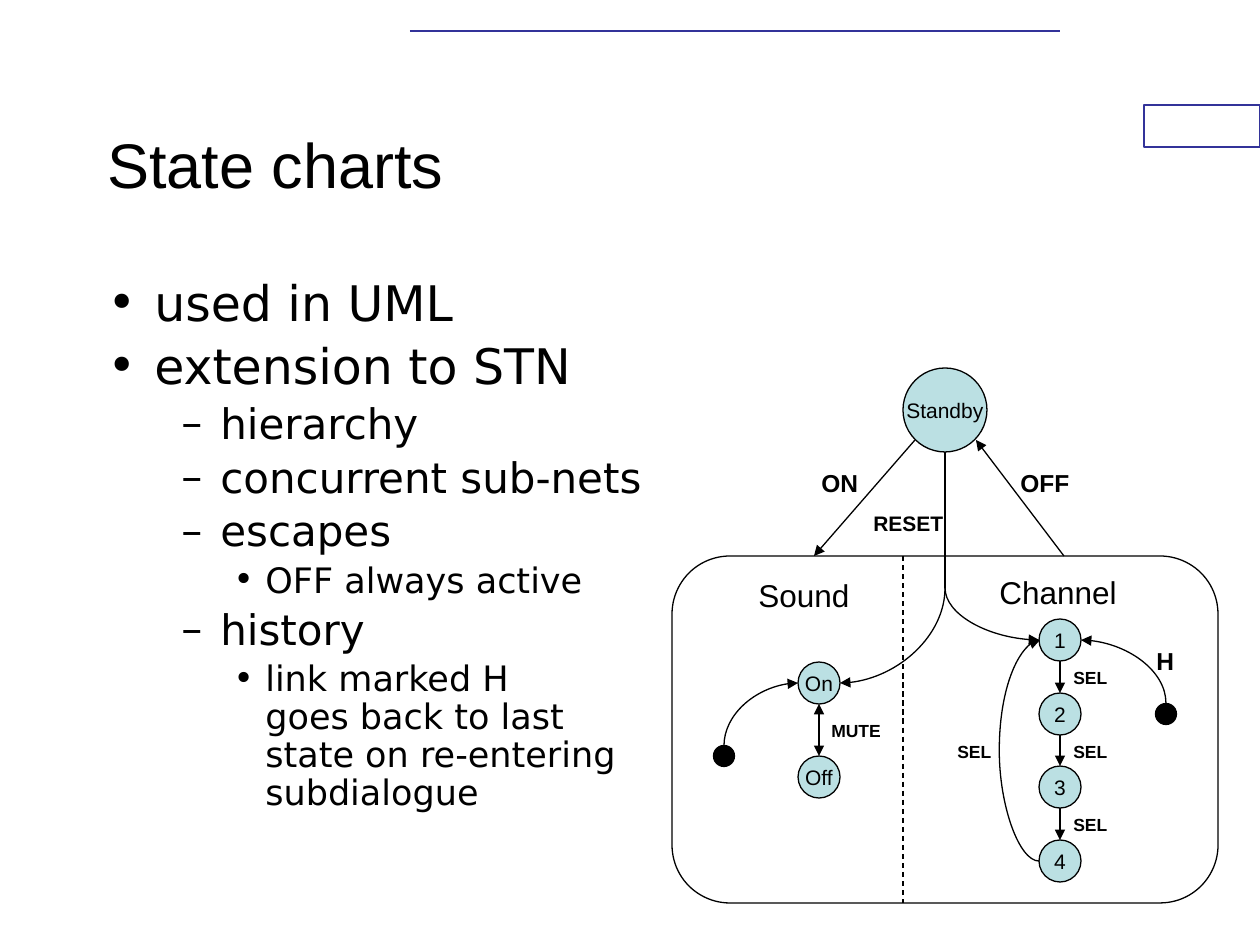
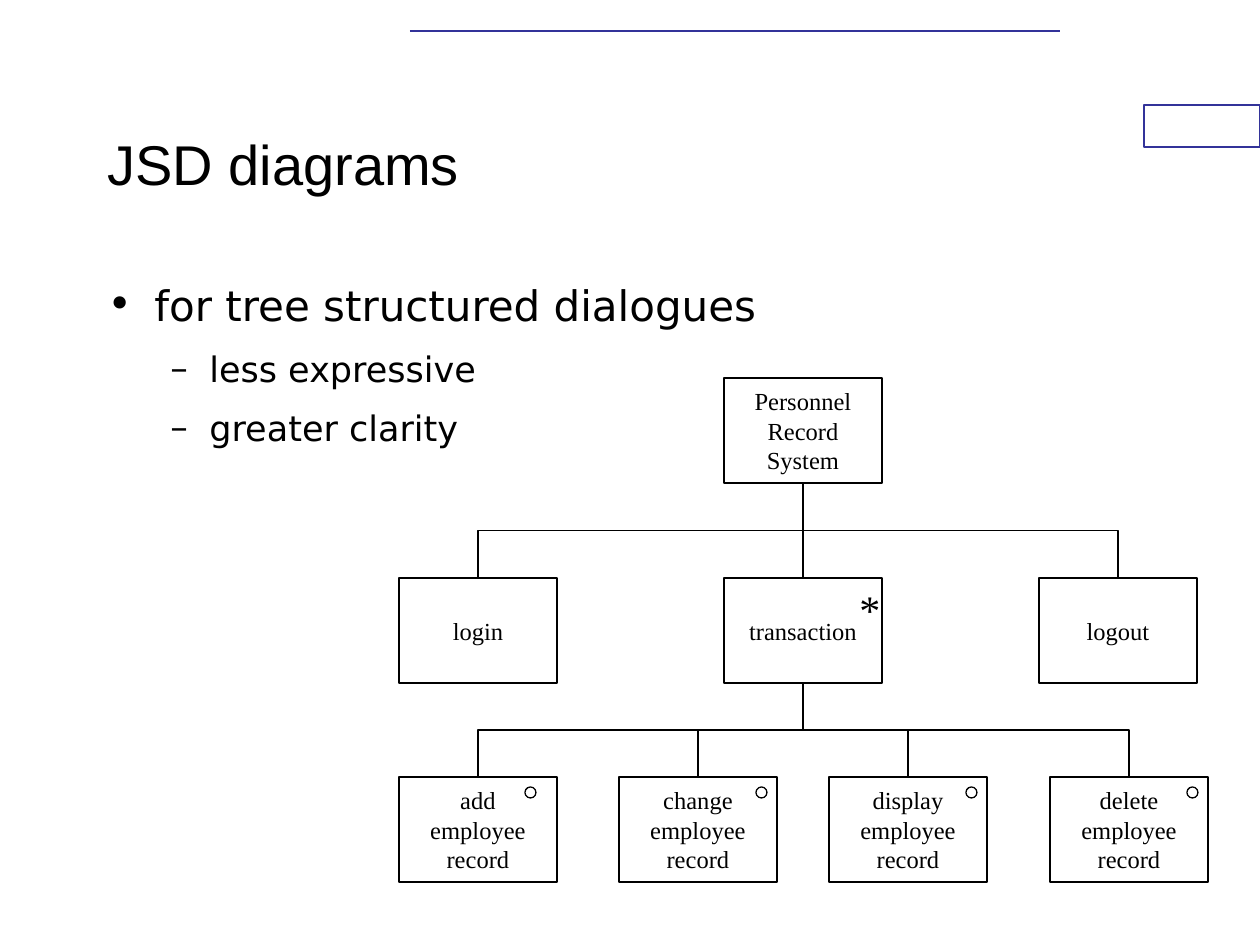
"""Build two slides on dialogue notations: state charts and JSD diagrams."""
from copy import deepcopy
from dataclasses import dataclass

from lxml.etree import SubElement
from pptx import Presentation
from pptx.dml.color import RGBColor
from pptx.enum.dml import MSO_LINE
from pptx.enum.shapes import MSO_CONNECTOR, MSO_SHAPE
from pptx.enum.text import MSO_ANCHOR, MSO_AUTO_SIZE, PP_ALIGN
from pptx.oxml.ns import qn
from pptx.util import Pt

SCALE = 914400 / 126


@dataclass(frozen=True)
class Theme:
    """Colours, fonts and type sizes."""
    ink: str = "000000"
    paper: str = "FFFFFF"
    navy: str = "333399"
    aqua: str = "BBE0E3"
    sans: str = "Arial"
    body: str = "DejaVu Sans"
    serif: str = "Times New Roman"
    thin: float = 0.75
    firm: float = 1
    state: int = 12
    node: int = 14
    star: int = 24


T = Theme()

CHART = {
    "title": ("State charts", 36),
    "sizes": (28, 24, 20),
    "dents": ((47, 47), (113, 39), (158, 32)),
    "space": (0.9, 0.2),
    "items": [
        (0, "used in UML"),
        (0, "extension to STN"),
        (1, "hierarchy"),
        (1, "concurrent sub-nets"),
        (1, "escapes"),
        (2, "OFF always active"),
        (1, "history"),
        (2, "link marked H\vgoes back to last\vstate on re-entering\vsubdialogue"),
    ],
}
TREE = {
    "title": ("JSD diagrams", 32),
    "sizes": (24, 20),
    "dents": ((47, 47), (102, 39)),
    "space": (1.0, 0.5),
    "items": [
        (0, "for tree structured dialogues"),
        (1, "less expressive"),
        (1, "greater clarity"),
    ],
}
BULLETS = "•–•"

FRAME = (672, 556, 546, 347)
STEPS = [640, 714, 787, 861]
STEP_X = 1060
STATES = [
    ("Standby", 945, 410, 84),
    ("On", 819, 683, 42),
    ("Off", 819, 777, 42),
] + [(str(num), STEP_X, y, 42) for num, y in enumerate(STEPS, 1)]
DOTS = [(1166, 714), (724, 756)]
LABELS = [
    ("Sound", 746, 570, 120, 50, 18, False),
    ("Channel", 987, 567, 150, 50, 18, False),
    ("H", 1144, 640, 43, 42, 14, True),
    ("OFF", 1008, 462, 76, 42, 14, True),
    ("ON", 809, 462, 64, 42, 14, True),
    ("RESET", 861, 504, 98, 38, 12, True),
    ("MUTE", 819, 714, 78, 34, 10, True),
    ("SEL", 945, 735, 61, 34, 10, True),
] + [("SEL", 1061, y + 21, 61, 34, 10, True) for y in STEPS[:-1]]
ARROWS = [
    ((915, 440), (814, 556), "tail"),
    ((1064, 556), (976, 440), "tail"),
    ((819, 704), (819, 756), "head tail"),
    ((945, 452), (945, 588), ""),
] + [((STEP_X, a + 21), (STEP_X, b - 21), "tail") for a, b in zip(STEPS, STEPS[1:])]
CURVES = [
    ((1166, 703), (1081, 640)),
    ((724, 746), (798, 683)),
    ((945, 588), (1039, 640)),
    ((945, 588), (840, 683)),
]

BOX = (158, 105)
ROWS = [
    (378, [("Personnel\vRecord\vSystem", 803)]),
    (578, [("login", 478), ("transaction", 803), ("logout", 1118)]),
    (777, [(verb + "\vemployee\vrecord", x) for verb, x in
           [("add", 478), ("change", 698), ("display", 908), ("delete", 1129)]]),
]
TRUNK = 803
RINGS = [525, 756, 966, 1187]


def px(*vals):
    return [round(val * SCALE) for val in vals]


def rgb(code):
    return RGBColor.from_string(code)


def apply(obj, fmt):
    for key, val in fmt.items():
        setattr(obj, key, val)


def write(para, text, size, face, bold=False):
    para.text = text
    for run in para.runs:
        apply(run.font, {"size": Pt(size), "name": face, "bold": bold})
        run.font.color.rgb = rgb(T.ink)
    mark = para.runs[0].font._element
    for brk in para._p.findall(qn("a:br")):
        brk.append(deepcopy(mark))


def shape(slide, kind, area, fill=None, line=T.ink, width=T.thin):
    item = slide.shapes.add_shape(kind, *px(*area))
    item.shadow.inherit = False
    if fill:
        item.fill.solid()
        item.fill.fore_color.rgb = rgb(fill)
    else:
        item.fill.background()
    item.line.color.rgb = rgb(line)
    item.line.width = Pt(width)
    return item


def center(item, text, size, face):
    frame = item.text_frame
    apply(frame, {"word_wrap": False, "vertical_anchor": MSO_ANCHOR.MIDDLE})
    para = frame.paragraphs[0]
    para.alignment = PP_ALIGN.CENTER
    write(para, text, size, face)


def label(slide, text, area, size, face, bold=False, fmt=None):
    frame = slide.shapes.add_textbox(*px(*area)).text_frame
    apply(frame, fmt or {"word_wrap": False, "auto_size": MSO_AUTO_SIZE.SHAPE_TO_FIT_TEXT})
    write(frame.paragraphs[0], text, size, face, bold)


def link(slide, start, end, ends="", kind=MSO_CONNECTOR.STRAIGHT,
         color=T.ink, width=T.thin, dash=None):
    item = slide.shapes.add_connector(kind, *px(*start, *end))
    item.line.color.rgb = rgb(color)
    item.line.width = Pt(width)
    if dash:
        item.line.dash_style = dash
    props = item._element.spPr
    for name in ends.split():
        SubElement(props.find(qn("a:ln")), qn(f"a:{name}End"), type="triangle")
    SubElement(props, qn("a:effectLst"))
    return item


def place(item, mid, size, turn, flip):
    wide, high = size
    left, top = mid[0] - wide / 2, mid[1] - high / 2
    names = ("left", "top", "width", "height")
    apply(item, dict(zip(names, px(left, top, wide, high))))
    form = item._element.spPr.find(qn("a:xfrm"))
    for key, val in {"rot": turn * 60000, "flipH": int(flip), "flipV": 0}.items():
        form.set(key, str(val))


def bend(slide, start, end, kind, ends=""):
    item = link(slide, start, end, ends, kind)
    (x1, y1), (x2, y2) = start, end
    left, down = x2 < x1, y2 > y1
    place(item, ((x1 + x2) / 2, (y1 + y2) / 2), (abs(y2 - y1), abs(x2 - x1)),
          90 if left else 270, left != down)
    return item


def loop(slide):
    top, low = STEPS[0], STEPS[-1]
    edge = STEP_X - 21
    item = link(slide, (edge, low), (edge + 1, top), "tail", MSO_CONNECTOR.CURVE)
    place(item, (edge + 0.5, (top + low) / 2), (1, low - top), 180, True)
    guides = item._element.spPr.find(qn("a:prstGeom")).find(qn("a:avLst"))
    SubElement(guides, qn("a:gd"), name="adj1", fmla="val -4000000")


def outline(slide, data):
    frame = slide.shapes.add_textbox(*px(95, 273, 1071, 567)).text_frame
    frame.word_wrap = True
    pitch, gap = data["space"]
    for num, (level, text) in enumerate(data["items"]):
        para = frame.add_paragraph() if num else frame.paragraphs[0]
        size = data["sizes"][level]
        apply(para, {"level": level, "line_spacing": pitch,
                     "space_before": Pt(gap * size if num else 0)})
        props = para._p.get_or_add_pPr()
        left, hang = px(*data["dents"][level])
        props.set("marL", str(left))
        props.set("indent", str(-hang))
        SubElement(props, qn("a:buFont"), typeface=T.body)
        SubElement(props, qn("a:buChar"), char=BULLETS[level])
        write(para, text, size, T.body)


def page(deck, data):
    slide = deck.slides.add_slide(deck.slide_layouts[6])
    shape(slide, MSO_SHAPE.RECTANGLE, (1144, 105, 116, 42), T.paper, T.navy)
    link(slide, (410, 31), (1060, 31), color=T.navy, width=T.firm)
    text, size = data["title"]
    label(slide, text, (95, 84, 945, 158), size, T.sans,
          fmt={"word_wrap": True, "vertical_anchor": MSO_ANCHOR.MIDDLE})
    outline(slide, data)
    return slide


def chart(slide):
    frame = shape(slide, MSO_SHAPE.ROUNDED_RECTANGLE, FRAME)
    frame.adjustments[0] = 0.167
    link(slide, (903, 556), (903, 903), dash=MSO_LINE.DASH)
    for text, x, y, size in STATES:
        item = shape(slide, MSO_SHAPE.OVAL, (x - size / 2, y - size / 2, size, size), T.aqua)
        center(item, text, T.state, T.sans)
    for x, y in DOTS:
        shape(slide, MSO_SHAPE.OVAL, (x - 10.5, y - 10.5, 21, 21), T.ink)
    for start, end, ends in ARROWS:
        link(slide, start, end, ends)
    for start, end in CURVES:
        item = bend(slide, start, end, MSO_CONNECTOR.CURVE, "tail")
        item._element.spPr.find(qn("a:prstGeom")).set("prst", "curvedConnector2")
    loop(slide)
    for text, x, y, wide, high, size, bold in LABELS:
        label(slide, text, (x, y, wide, high), size, T.sans, bold)


def tree(slide):
    wide, high = BOX
    for top, nodes in ROWS:
        for text, x in nodes:
            item = shape(slide, MSO_SHAPE.RECTANGLE, (x - wide / 2, top, wide, high),
                         T.paper, width=T.firm)
            center(item, text, T.node, T.serif)
    for (top, _), (low, nodes) in zip(ROWS, ROWS[1:]):
        for _, x in nodes:
            start, end = (TRUNK, top + high), (x, low)
            if x == TRUNK:
                link(slide, start, end)
            else:
                bend(slide, start, end, MSO_CONNECTOR.ELBOW)
    for x in RINGS:
        shape(slide, MSO_SHAPE.OVAL, (x, 787, 11, 11), T.paper)
    label(slide, "*", (847, 577, 57, 63), T.star, T.serif, fmt={"word_wrap": True})


def main():
    deck = Presentation()
    apply(deck, dict(zip(("slide_width", "slide_height"), px(1260, 945))))
    chart(page(deck, CHART))
    tree(page(deck, TREE))
    deck.save("out.pptx")


if __name__ == "__main__":
    main()
